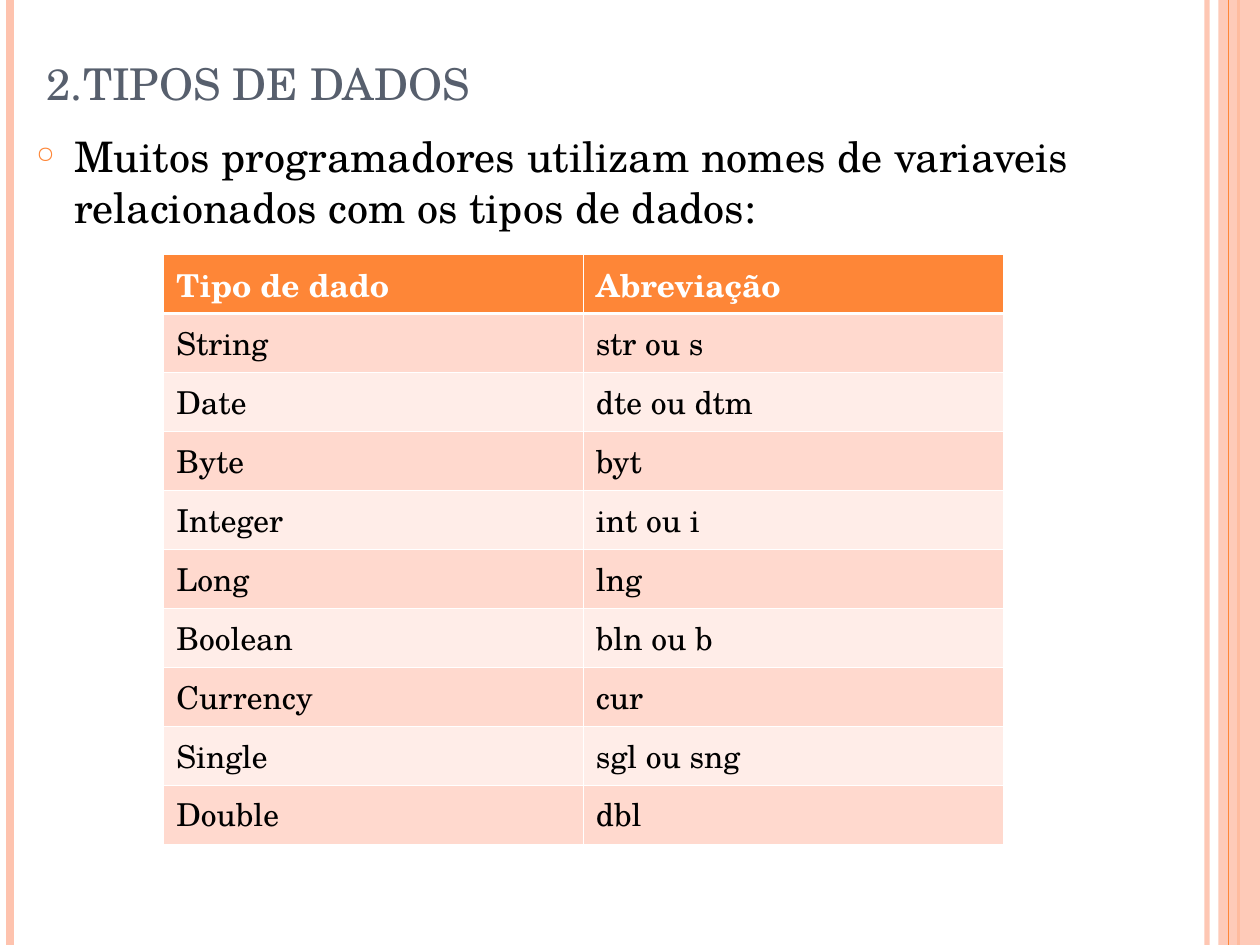
from typing import NamedTuple

from lxml import etree
from pptx import Presentation
from pptx.dml.color import RGBColor
from pptx.enum.shapes import MSO_CONNECTOR, MSO_SHAPE
from pptx.enum.text import MSO_ANCHOR, PP_ALIGN
from pptx.oxml.ns import qn
from pptx.util import Inches, Pt

STRAIGHT = MSO_CONNECTOR.STRAIGHT
RECTANGLE = MSO_SHAPE.RECTANGLE
BOTTOM, TOP = MSO_ANCHOR.BOTTOM, MSO_ANCHOR.TOP
LEFT = PP_ALIGN.LEFT

FONT = "TeX Gyre Schola"
ORANGE, PEACH, SLATE = "FE8637", "FEC3AE", "575F6D"
WHITE, BLACK = "FFFFFF", "000000"
BANDS = ("FFD9CE", "FFEDE8")
SLIDE_HEIGHT = 7.5


class Stripe(NamedTuple):
    x: float
    color: str
    weight: float
    opacity: int = 100


class DataType(NamedTuple):
    name: str
    abbreviation: str


STRIPES_BEHIND = (
    Stripe(9.58, PEACH, 3, 93),
    Stripe(0.08, PEACH, 4.5),
    Stripe(9.83, ORANGE, 1.5),
)
STRIPE_ABOVE = Stripe(9.75, ORANGE, 0.75)

HEADINGS = DataType("Tipo de dado", "Abreviação")
DATA_TYPES = (
    DataType("String", "str ou s"),
    DataType("Date", "dte ou dtm"),
    DataType("Byte", "byt"),
    DataType("Integer", "int ou i"),
    DataType("Long", "lng"),
    DataType("Boolean", "bln ou b"),
    DataType("Currency", "cur"),
    DataType("Single", "sgl ou sng"),
    DataType("Double", "dbl"),
)


def rgb(color: str) -> RGBColor:
    return RGBColor.from_string(color)


def add_child(parent, tag: str, **attributes: str):
    return etree.SubElement(parent, qn(tag), attributes)


def set_opacity(element, percent: int) -> None:
    color = next(element.iter(qn("a:srgbClr")))
    add_child(color, "a:alpha", val=str(percent * 1000))


def style_paragraph(paragraph, size: float, color: str, bold: bool = False) -> None:
    paragraph.alignment = LEFT
    font = paragraph.font
    font.name, font.size, font.bold = FONT, Pt(size), bold
    font.color.rgb = rgb(color)


def draw_stripe(slide, stripe: Stripe) -> None:
    x = Inches(stripe.x)
    line = slide.shapes.add_connector(STRAIGHT, x, 0, x, Inches(SLIDE_HEIGHT))
    line.line.color.rgb = rgb(stripe.color)
    line.line.width = Pt(stripe.weight)
    properties = line._element.spPr
    if stripe.opacity < 100:
        set_opacity(properties, stripe.opacity)
    add_child(properties, "a:effectLst")


def draw_side_band(slide) -> None:
    band = slide.shapes.add_shape(
        RECTANGLE, Inches(9.67), 0, Inches(0.33), Inches(SLIDE_HEIGHT)
    )
    band.shadow.inherit = False
    band.fill.solid()
    band.fill.fore_color.rgb = rgb(PEACH)
    band.line.fill.background()
    set_opacity(band._element.spPr, 87)


def write_title(slide) -> None:
    title = slide.shapes.title
    title.left, title.top = Inches(0.27), Inches(0.31)
    title.width, title.height = Inches(9.29), Inches(0.61)
    frame = title.text_frame
    frame.text = "2.TIPOS DE DADOS"
    frame.vertical_anchor = BOTTOM
    style_paragraph(frame.paragraphs[0], 25, SLATE)


def write_intro(slide) -> None:
    intro = slide.shapes.add_textbox(
        Inches(0.19), Inches(0.99), Inches(9.37), Inches(6.51)
    )
    frame = intro.text_frame
    frame.word_wrap = True
    frame.vertical_anchor = TOP
    paragraph = frame.paragraphs[0]
    paragraph.text = (
        "Muitos programadores utilizam nomes de variaveis "
        "relacionados com os tipos de dados:"
    )
    properties = paragraph._p.get_or_add_pPr()
    indent = Inches(0.3)
    properties.set("marL", str(indent))
    properties.set("indent", str(-indent))
    bullet_color = add_child(properties, "a:buClr")
    add_child(bullet_color, "a:srgbClr", val=ORANGE)
    add_child(properties, "a:buSzPct", val="55000")
    add_child(properties, "a:buChar", char="○")
    style_paragraph(paragraph, 24, BLACK)


def set_border(cell, side: str, weight: float) -> None:
    border = add_child(cell._tc.get_or_add_tcPr(), f"a:{side}", w=str(Pt(weight)))
    fill = add_child(border, "a:solidFill")
    add_child(fill, "a:srgbClr", val=WHITE)


def fill_cell(cell, text: str, row: int) -> None:
    header = row == 0
    cell.text = text
    style_paragraph(
        cell.text_frame.paragraphs[0], 18, WHITE if header else BLACK, header
    )
    weights = {
        "lnL": 0.45,
        "lnR": 0.45,
        "lnT": 1.47 if row == 1 else 0.45,
        "lnB": 1.47 if header else 0.45,
    }
    for side, weight in weights.items():
        set_border(cell, side, weight)
    cell.fill.solid()
    cell.fill.fore_color.rgb = rgb(ORANGE if header else BANDS[(row - 1) % 2])


def draw_type_table(slide) -> None:
    rows = (HEADINGS, *DATA_TYPES)
    table = slide.shapes.add_table(
        len(rows), len(HEADINGS), Inches(1.3), Inches(2.02), Inches(6.66), Inches(4.68)
    ).table
    for row, entry in enumerate(rows):
        for column, text in enumerate(entry):
            fill_cell(table.cell(row, column), text, row)


def main() -> None:
    presentation = Presentation()
    presentation.slide_width = Inches(10)
    presentation.slide_height = Inches(SLIDE_HEIGHT)
    slide = presentation.slides.add_slide(presentation.slide_layouts[5])
    for stripe in STRIPES_BEHIND:
        draw_stripe(slide, stripe)
    draw_side_band(slide)
    draw_stripe(slide, STRIPE_ABOVE)
    write_title(slide)
    write_intro(slide)
    draw_type_table(slide)
    presentation.save("out.pptx")


if __name__ == "__main__":
    main()
